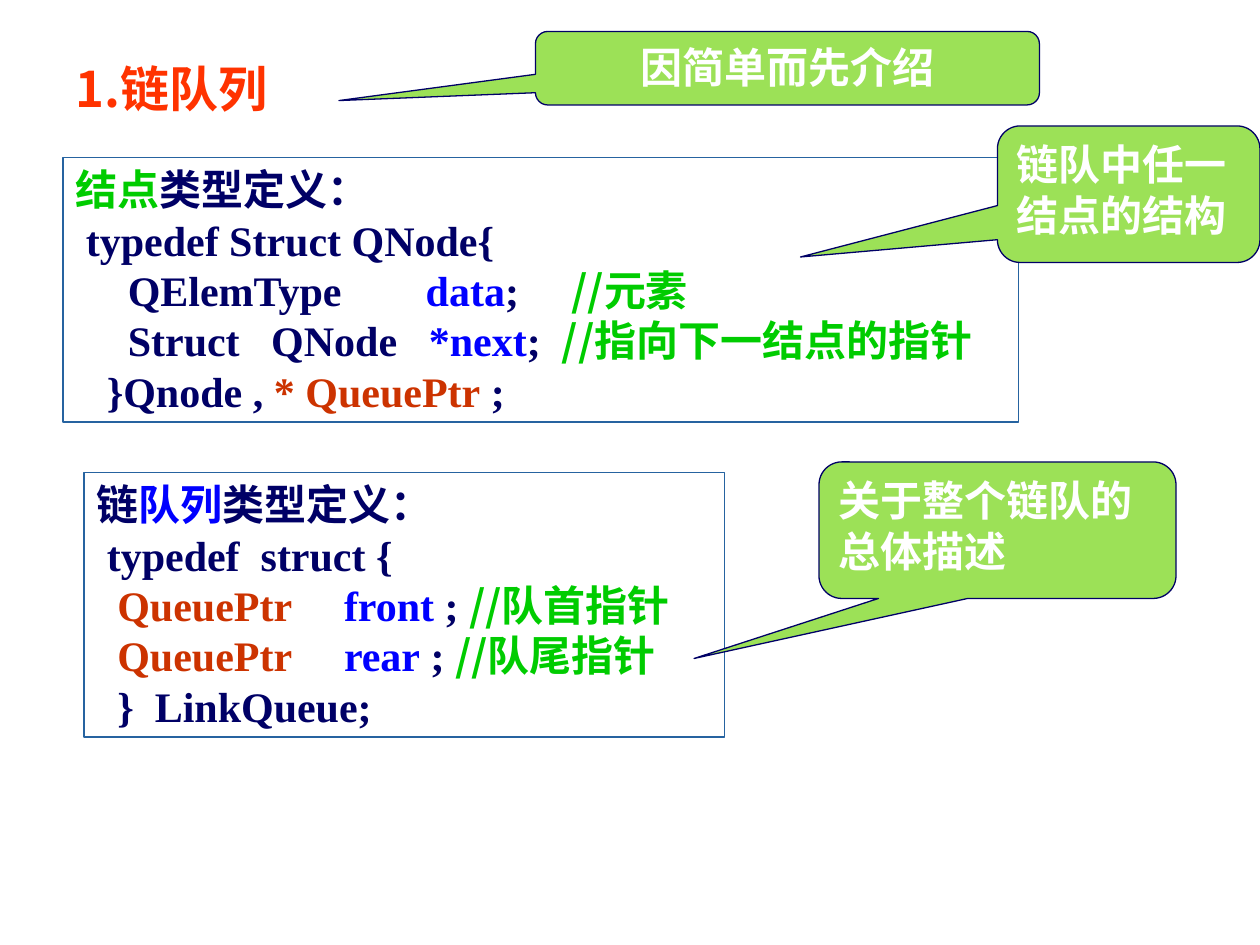
from typing import NamedTuple

from lxml import etree
from pptx import Presentation
from pptx.dml.color import RGBColor
from pptx.enum.shapes import MSO_SHAPE
from pptx.enum.text import MSO_ANCHOR, PP_ALIGN
from pptx.oxml.ns import qn
from pptx.util import Inches, Pt

RECT = MSO_SHAPE.RECTANGLE
CALLOUT = MSO_SHAPE.ROUNDED_RECTANGULAR_CALLOUT
LEFT, CENTER = PP_ALIGN.LEFT, PP_ALIGN.CENTER
TOP, MIDDLE = MSO_ANCHOR.TOP, MSO_ANCHOR.MIDDLE

SERIF, SANS = "Times New Roman", "Noto Sans CJK SC"
NAVY, BLUE, GREEN, RUST = "000066", "0000FF", "00CC00", "CC3300"
ORANGE, WHITE, LIME, STEEL = "FF3300", "FFFFFF", "9CE157", "2663A0"

COLS, ROWS = 120, 90
TITLE_ONLY = 5


class Area(NamedTuple):
    col: float
    row: float
    cols: float
    rows: float


class Span(NamedTuple):
    text: str
    color: str = NAVY
    font: str = SERIF


class CodeBox(NamedTuple):
    area: Area
    lines: list[list[Span]]


class Callout(NamedTuple):
    area: Area
    tip: tuple[float, float]
    text: str
    align: PP_ALIGN = LEFT


def comment(text: str) -> Span:
    return Span(text, GREEN, SANS)


CODE_BOXES = [
    CodeBox(Area(8, 45, 61, 25.2), [
        [Span("链"), Span("队列", BLUE), Span("类型定义：")],
        [Span(" typedef  struct {")],
        [Span("  QueuePtr     ", RUST), Span("front", BLUE), Span(" ; "), comment("//队首指针")],
        [Span("  QueuePtr     ", RUST), Span("rear", BLUE), Span(" ; "), comment("//队尾指针")],
        [Span("  }  LinkQueue;")],
    ]),
    CodeBox(Area(6, 15, 91, 25.2), [
        [Span("结点", GREEN), Span("类型定义：")],
        [Span(" typedef Struct QNode{")],
        [Span("     QElemType        "), Span("data", BLUE), Span(";     "), comment("//元素")],
        [Span("     Struct   QNode   "), Span("*next", BLUE), Span(";  "), comment("//指向下一结点的指针")],
        [Span("   }Qnode , "), Span("* QueuePtr", RUST), Span(" ;")],
    ]),
]

CALLOUTS = [
    Callout(Area(78, 44, 34, 13), (-0.85, 0.94), "关于整个链队的总体描述"),
    Callout(Area(95, 12, 25, 13), (-1.25, 0.46), "链队中任一结点的结构"),
    Callout(Area(51, 3, 48, 7), (-0.89, 0.44), "因简单而先介绍", CENTER),
]


def rgb(color: str) -> RGBColor:
    return RGBColor.from_string(color)


def place(prs, area: Area) -> tuple[int, int, int, int]:
    w, h = prs.slide_width / COLS, prs.slide_height / ROWS
    return int(area.col * w), int(area.row * h), int(area.cols * w), int(area.rows * h)


def add_run(p, text: str, *, color: str, font: str = SERIF, size: float = 24) -> None:
    r = p.add_run()
    r.text = text
    r.font.size = Pt(size)
    r.font.bold = True
    r.font.color.rgb = rgb(color)
    r.font.name = font
    etree.SubElement(r.font._element, qn("a:ea")).set("typeface", SANS)


def add_box(prs, s, kind: MSO_SHAPE, area: Area, *, line: str, fill: str | None = None):
    sp = s.shapes.add_shape(kind, *place(prs, area))
    sp.shadow.inherit = False
    sp.line.color.rgb = rgb(line)
    sp.line.width = Pt(0.75)
    if fill:
        sp.fill.solid()
        sp.fill.fore_color.rgb = rgb(fill)
    else:
        sp.fill.background()
    sp.text_frame.word_wrap = True
    sp.text_frame.vertical_anchor = TOP
    return sp


def draw_code_box(prs, s, box: CodeBox) -> None:
    tf = add_box(prs, s, RECT, box.area, line=STEEL).text_frame
    for i, spans in enumerate(box.lines):
        p = tf.add_paragraph() if i else tf.paragraphs[0]
        p.alignment = LEFT
        for span in spans:
            add_run(p, span.text, color=span.color, font=span.font)


def draw_callout(prs, s, callout: Callout) -> None:
    sp = add_box(prs, s, CALLOUT, callout.area, line=NAVY, fill=LIME)
    sp.adjustments[0], sp.adjustments[1] = callout.tip
    p = sp.text_frame.paragraphs[0]
    p.alignment = callout.align
    add_run(p, callout.text, color=WHITE)


def draw_title(prs, s, area: Area, text: str) -> None:
    title = s.shapes.title
    title.left, title.top, title.width, title.height = place(prs, area)
    title.text_frame.vertical_anchor = MIDDLE
    p = title.text_frame.paragraphs[0]
    p.alignment = LEFT
    add_run(p, text, color=ORANGE, font=SANS, size=28)


def main() -> None:
    prs = Presentation()
    prs.slide_width, prs.slide_height = Inches(10), Inches(7.5)
    s = prs.slides.add_slide(prs.slide_layouts[TITLE_ONLY])
    for box in CODE_BOXES:
        draw_code_box(prs, s, box)
    for callout in CALLOUTS:
        draw_callout(prs, s, callout)
    draw_title(prs, s, Area(6, 5, 25, 6.8), "1.链队列")
    prs.save("out.pptx")


if __name__ == "__main__":
    main()
